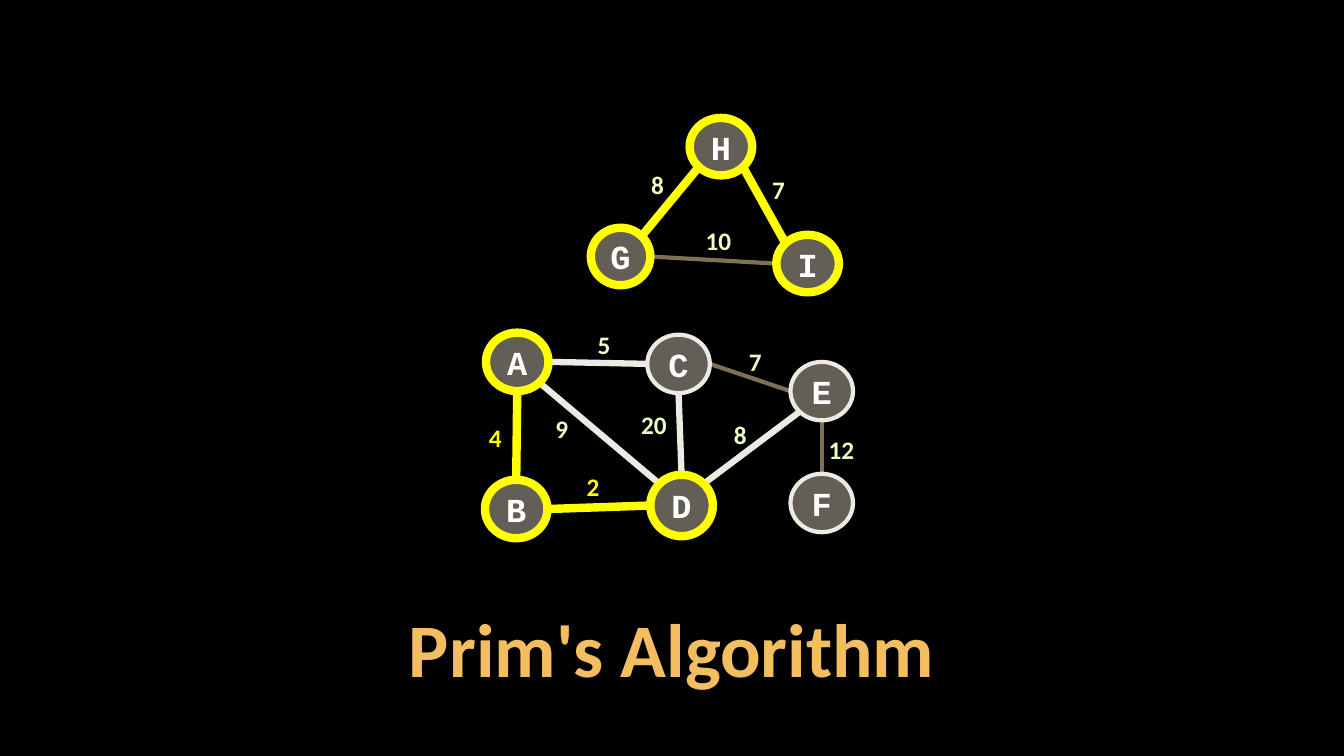
from math import sqrt

from lxml import etree
from pptx import Presentation
from pptx import util as u
from pptx.dml.color import RGBColor
from pptx.enum import shapes, text
from pptx.oxml.ns import qn

YELLOW, PALE, BROWN = "FFFF00", "ECEAE3", "7C7154"
LABEL_GREEN, NODE_FILL, TITLE_ORANGE = "EBFFC2", "C7BFAC", "F3BE60"

DIAGONAL = sqrt(0.5)
SITES = {
    "top": (0, -1), "bottom": (0, 1), "left": (-1, 0), "right": (1, 0),
    "top left": (-DIAGONAL, -DIAGONAL), "top right": (DIAGONAL, -DIAGONAL),
    "bottom left": (-DIAGONAL, DIAGONAL), "bottom right": (DIAGONAL, DIAGONAL),
}

# Line styles: colour and width in points
CHOSEN, CANDIDATE, UNSEEN = (YELLOW, 6), (PALE, 4.5), (BROWN, 3)
OUTSIDE = (PALE, 3)

# Nodes: left, top, width, height within the graph, outline style
# Edges: node, site, node, site, style, weight, label left, label top, label colour
TRIANGLE_NODES = {
    "I": (1.9, 1.23, 0.62, 0.57, CHOSEN),
    "G": (0.06, 1.16, 0.59, 0.57, CHOSEN),
    "H": (1.04, 0.07, 0.62, 0.57, CHOSEN),
}
TRIANGLE_EDGES = [
    ("G", "right", "I", "left", UNSEEN, "10", 1.1, 1.09, LABEL_GREEN),
    ("G", "top right", "H", "bottom left", CHOSEN, "8", 0.56, 0.53, LABEL_GREEN),
    ("I", "top left", "H", "bottom right", CHOSEN, "7", 1.76, 0.58, LABEL_GREEN),
]
MAIN_NODES = {
    "A": (0.02, 0.1, 0.62, 0.58, CHOSEN),
    "B": (0.01, 1.56, 0.62, 0.58, CHOSEN),
    "C": (1.62, 0.12, 0.62, 0.58, OUTSIDE),
    "D": (1.65, 1.51, 0.62, 0.61, CHOSEN),
    "E": (3.04, 0.39, 0.62, 0.58, OUTSIDE),
    "F": (3.04, 1.5, 0.62, 0.58, OUTSIDE),
}
MAIN_EDGES = [
    ("D", "top right", "E", "bottom left", CANDIDATE, "8", 2.38, 0.91, LABEL_GREEN),
    ("D", "top", "C", "bottom", CANDIDATE, "20", 1.46, 0.81, LABEL_GREEN),
    ("F", "top", "E", "bottom", UNSEEN, "12", 3.32, 1.06, LABEL_GREEN),
    ("D", "left", "B", "right", CHOSEN, "2", 0.92, 1.43, YELLOW),
    ("D", "top left", "A", "bottom right", CANDIDATE, "9", 0.61, 0.85, LABEL_GREEN),
    ("C", "right", "E", "left", UNSEEN, "7", 2.53, 0.19, LABEL_GREEN),
    ("B", "top", "A", "bottom", CHOSEN, "4", -0.05, 0.94, YELLOW),
    ("A", "right", "C", "left", CANDIDATE, "5", 1.03, 0.02, LABEL_GREEN),
]


def color(hex_code):
    return RGBColor.from_string(hex_code)


def set_text(shape, words, font_name, size, hex_code, align):
    shape.text_frame.text = words
    paragraph = shape.text_frame.paragraphs[0]
    paragraph.alignment = align
    font = paragraph.runs[0].font
    font.name, font.size, font.bold = font_name, u.Pt(size), True
    font.color.rgb = color(hex_code)


def set_line(shape, style):
    hex_code, width = style
    shape.line.color.rgb = color(hex_code)
    shape.line.width = u.Pt(width)


def site_point(node, site):
    """Return where an edge meets the ellipse, within the graph."""
    left, top, width, height, _ = node
    across, down = SITES[site]
    return left + width / 2 * (1 + across), top + height / 2 * (1 + down)


def add_edge(group, start, end, style):
    edge = group.shapes.add_connector(
        shapes.MSO_CONNECTOR.STRAIGHT, *map(u.Inches, start + end))
    set_line(edge, style)
    etree.SubElement(edge.element.spPr, qn("a:effectLst"))


def add_weight(group, left, top, weight, hex_code):
    width = 0.2 + 0.13 * len(weight)
    box = group.shapes.add_textbox(*map(u.Inches, (left, top, width, 0.4)))
    set_text(box, weight, "Calibri", 18, hex_code, text.PP_ALIGN.LEFT)
    box.text_frame.word_wrap = False
    box.text_frame.auto_size = text.MSO_AUTO_SIZE.SHAPE_TO_FIT_TEXT


def add_node(group, left, top, width, height, name, style):
    node = group.shapes.add_shape(
        shapes.MSO_SHAPE.OVAL, *map(u.Inches, (left, top, width, height)))
    node.shadow.inherit = False
    node.fill.solid()
    node.fill.fore_color.rgb = color(NODE_FILL)
    fill_color = node.element.spPr.find(qn("a:solidFill")).find(qn("a:srgbClr"))
    etree.SubElement(fill_color, qn("a:alpha"), val="50000")
    set_line(node, style)
    set_text(node, name, "Courier New", 24, "FFFFFF", text.PP_ALIGN.CENTER)
    node.text_frame.word_wrap = False
    node.text_frame.vertical_anchor = text.MSO_ANCHOR.MIDDLE


def add_graph(slide, left, top, nodes, edges):
    group = slide.shapes.add_group_shape()
    for first, first_site, second, second_site, style, *_ in edges:
        start, end = (
            (left + x, top + y)
            for x, y in (site_point(nodes[first], first_site),
                         site_point(nodes[second], second_site)))
        add_edge(group, start, end, style)
    for *_, weight, label_left, label_top, hex_code in edges:
        add_weight(group, left + label_left, top + label_top, weight, hex_code)
    for name, (node_left, node_top, width, height, style) in nodes.items():
        add_node(group, left + node_left, top + node_top, width, height, name, style)


def add_title(slide, left, top, width, height, words):
    title = slide.shapes.title
    title.left, title.top, title.width, title.height = map(
        u.Inches, (left, top, width, height))
    set_text(title, words, "Calibri", 54, TITLE_ORANGE, text.PP_ALIGN.CENTER)
    frame = title.text_frame
    frame.paragraphs[0].line_spacing = 0.9
    frame.vertical_anchor = text.MSO_ANCHOR.BOTTOM
    frame.auto_size = text.MSO_AUTO_SIZE.SHAPE_TO_FIT_TEXT
    frame.margin_left = frame.margin_right = u.Inches(0.04)
    frame.margin_top = frame.margin_bottom = u.Inches(0.04)


def main():
    presentation = Presentation()
    presentation.slide_width = u.Inches(13.33)
    presentation.slide_height = u.Inches(7.5)
    slide = presentation.slides.add_slide(presentation.slide_layouts[0])
    subtitle = slide.placeholders[1].element
    subtitle.getparent().remove(subtitle)
    slide.background.fill.solid()
    slide.background.fill.fore_color.rgb = color("000000")
    add_title(slide, 1, 6.02, 11.33, 0.9, "Prim's Algorithm")
    add_graph(slide, 4.8, 3.2, MAIN_NODES, MAIN_EDGES)
    add_graph(slide, 5.8, 1.1, TRIANGLE_NODES, TRIANGLE_EDGES)
    presentation.save("out.pptx")


if __name__ == "__main__":
    main()
